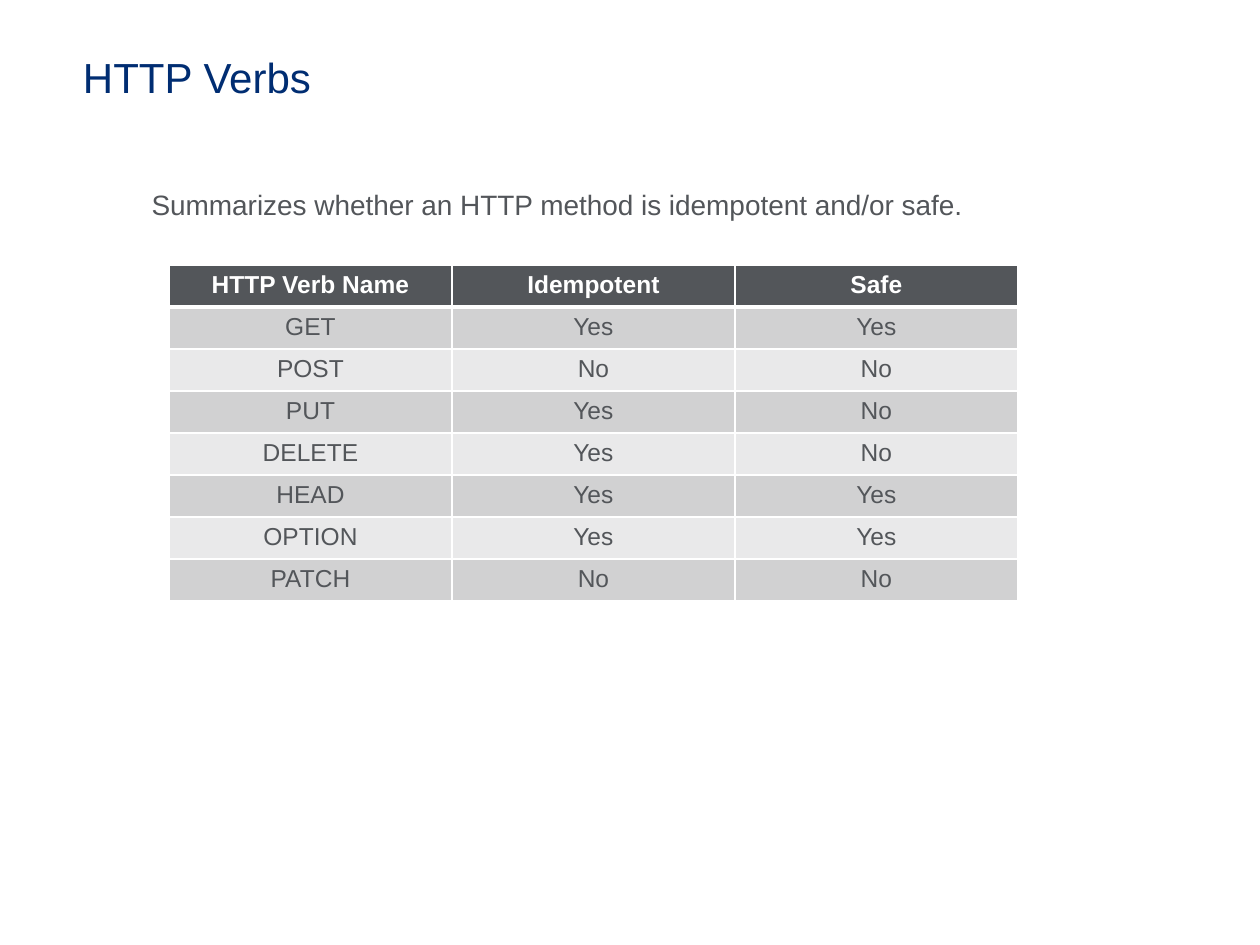
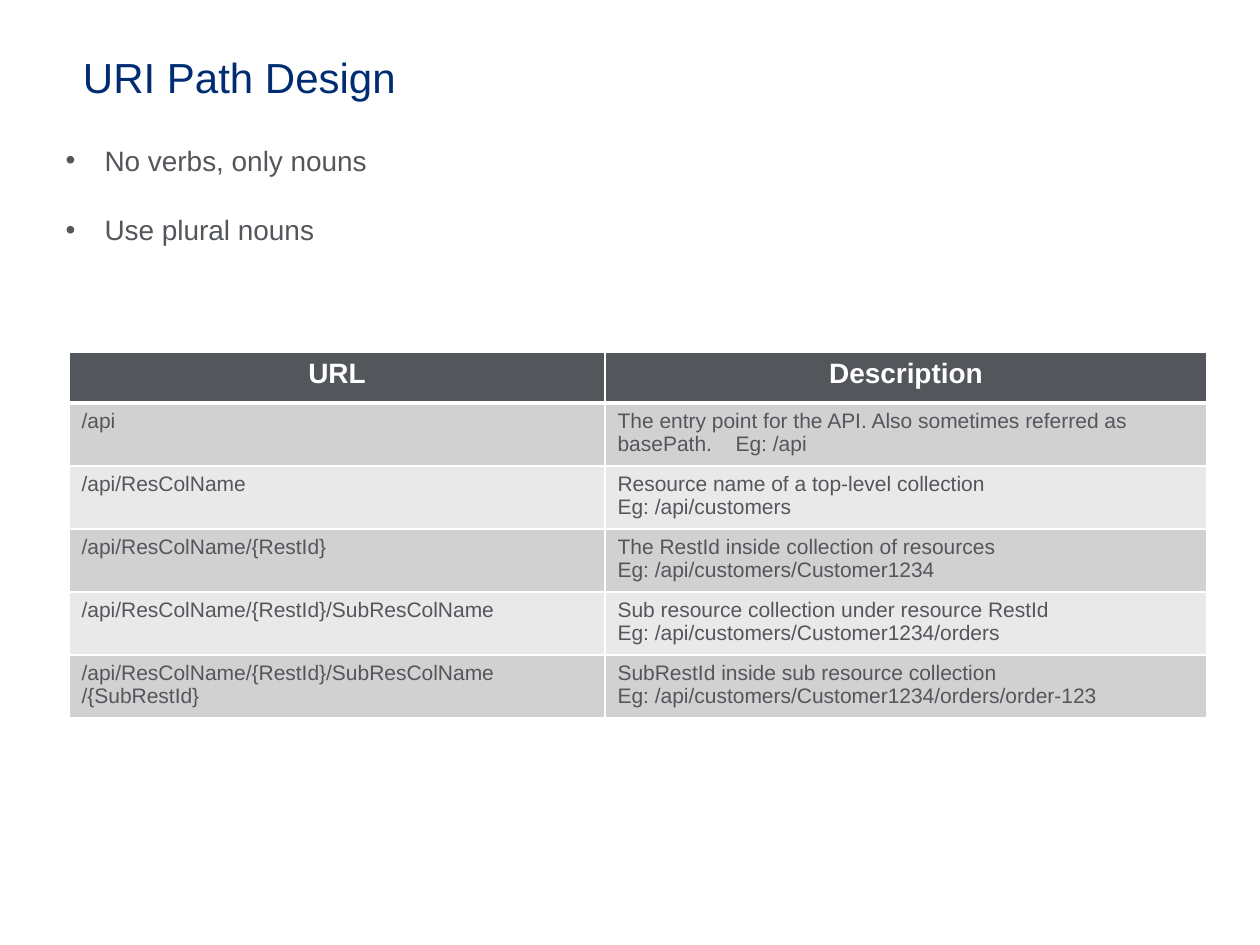
"""Build two slides on HTTP verbs and URI path design."""
from lxml import etree
from pptx import Presentation
from pptx import util as u
from pptx.dml.color import RGBColor
from pptx.enum import text
from pptx.oxml import ns

COLORS = {"title": "002D72", "body": "53565A", "white": "FFFFFF",
          "odd": "D1D1D2", "even": "E9E9EA"}
FONT = "Arial"
LEFT, CENTER = text.PP_ALIGN.LEFT, text.PP_ALIGN.CENTER


def px(count):
    return u.Emu(round(count * u.Inches(1) / 126))


def style(frame, size, color, bold=False, align=LEFT):
    for para in frame.paragraphs:
        para.alignment = align
        para.space_before = u.Pt(0)
        for span in para.runs:
            span.font.name = FONT
            span.font.size = u.Pt(size)
            span.font.bold = bold
            span.font.color.rgb = RGBColor.from_string(COLORS[color])


pages = [
    {
        "title": "HTTP Verbs",
        "body": "Summarizes whether an HTTP method is idempotent and/or safe.",
        "body_box": (139, 181, 1131, 47),
        "bullets": False,
        "table_at": (169, 265),
        "columns": (283, 283, 283),
        "heights": (42, 42),
        "sizes": (14, 14),
        "cell_align": CENTER,
        "rows": [
            ("HTTP Verb Name", "Idempotent", "Safe"),
            ("GET", "Yes", "Yes"),
            ("POST", "No", "No"),
            ("PUT", "Yes", "No"),
            ("DELETE", "Yes", "No"),
            ("HEAD", "Yes", "Yes"),
            ("OPTION", "Yes", "Yes"),
            ("PATCH", "No", "No"),
        ],
    },
    {
        "title": "URI Path Design",
        "body": "No verbs, only nouns\nUse plural nouns",
        "body_box": (53, 137, 1131, 115),
        "bullets": True,
        "table_at": (69, 352),
        "columns": (536, 602),
        "heights": (51, 63),
        "sizes": (16, 12),
        "cell_align": LEFT,
        "rows": [
            ("URL", "Description"),
            ("/api", "The entry point for the API. Also sometimes referred as "
                     "basePath.\tEg: /api"),
            ("/api/ResColName",
             "Resource name of a top-level collection\nEg: /api/customers"),
            ("/api/ResColName/{RestId}",
             "The RestId inside collection of resources\n"
             "Eg: /api/customers/Customer1234"),
            ("/api/ResColName/{RestId}/SubResColName",
             "Sub resource collection under resource RestId\n"
             "Eg: /api/customers/Customer1234/orders"),
            ("/api/ResColName/{RestId}/SubResColName\n/{SubRestId}",
             "SubRestId inside sub resource collection\n"
             "Eg: /api/customers/Customer1234/orders/order-123"),
        ],
    },
]

deck = Presentation()
deck.slide_width, deck.slide_height = px(1260), px(945)

for content in pages:
    page = deck.slides.add_slide(deck.slide_layouts[1])

    title = page.shapes.title
    title.left, title.top, title.width, title.height = map(px, (83, 43, 1143, 68))
    frame = title.text_frame
    frame.text = content["title"]
    frame.auto_size = text.MSO_AUTO_SIZE.NONE
    frame.vertical_anchor = text.MSO_ANCHOR.MIDDLE
    frame.margin_left = frame.margin_right = frame.margin_top = frame.margin_bottom = 0
    style(frame, 24, "title")

    body = page.placeholders[1]
    body.left, body.top, body.width, body.height = map(px, content["body_box"])
    frame = body.text_frame
    frame.text = content["body"]
    frame.auto_size = text.MSO_AUTO_SIZE.NONE
    style(frame, 16, "body")
    for para in frame.paragraphs:
        para.space_after = px(36) if content["bullets"] else 0
        indent = px(39) if content["bullets"] else 0
        properties = para._p.get_or_add_pPr()
        properties.set("marL", str(indent))
        properties.set("indent", str(-indent))
        if not content["bullets"]:
            etree.SubElement(properties, ns.qn("a:buNone"))

    rows, columns = content["rows"], content["columns"]
    header_height, row_height = content["heights"]
    table = page.shapes.add_table(
        len(rows), len(columns), *map(px, content["table_at"]), px(sum(columns)),
        px(header_height + row_height * (len(rows) - 1))).table
    for column, width in zip(table.columns, columns):
        column.width = px(width)

    for row_index, values in enumerate(rows):
        is_header = row_index == 0
        table.rows[row_index].height = px(header_height if is_header else row_height)
        stripe = "odd" if row_index % 2 else "even"
        for column_index, value in enumerate(values):
            cell = table.cell(row_index, column_index)
            cell.text_frame.text = value
            cell.fill.solid()
            cell.fill.fore_color.rgb = RGBColor.from_string(
                COLORS["body" if is_header else stripe])
            style(cell.text_frame, content["sizes"][0 if is_header else 1],
                  "white" if is_header else "body", is_header,
                  CENTER if is_header else content["cell_align"])
            if "\t" in value:
                properties = cell.text_frame.paragraphs[0]._p.get_or_add_pPr()
                tabs = etree.SubElement(properties, ns.qn("a:tabLst"))
                etree.SubElement(tabs, ns.qn("a:tab"), pos=str(px(118)), algn="l")

            borders = {"lnL": 1, "lnR": 1, "lnT": 3 if row_index == 1 else 1,
                       "lnB": 3 if is_header else 1}
            for position, (side, points) in enumerate(borders.items()):
                line = etree.Element(ns.qn("a:" + side), w=str(u.Pt(points)))
                paint = etree.SubElement(line, ns.qn("a:solidFill"))
                etree.SubElement(paint, ns.qn("a:srgbClr"), val=COLORS["white"])
                cell._tc.get_or_add_tcPr().insert(position, line)

deck.save("out.pptx")
